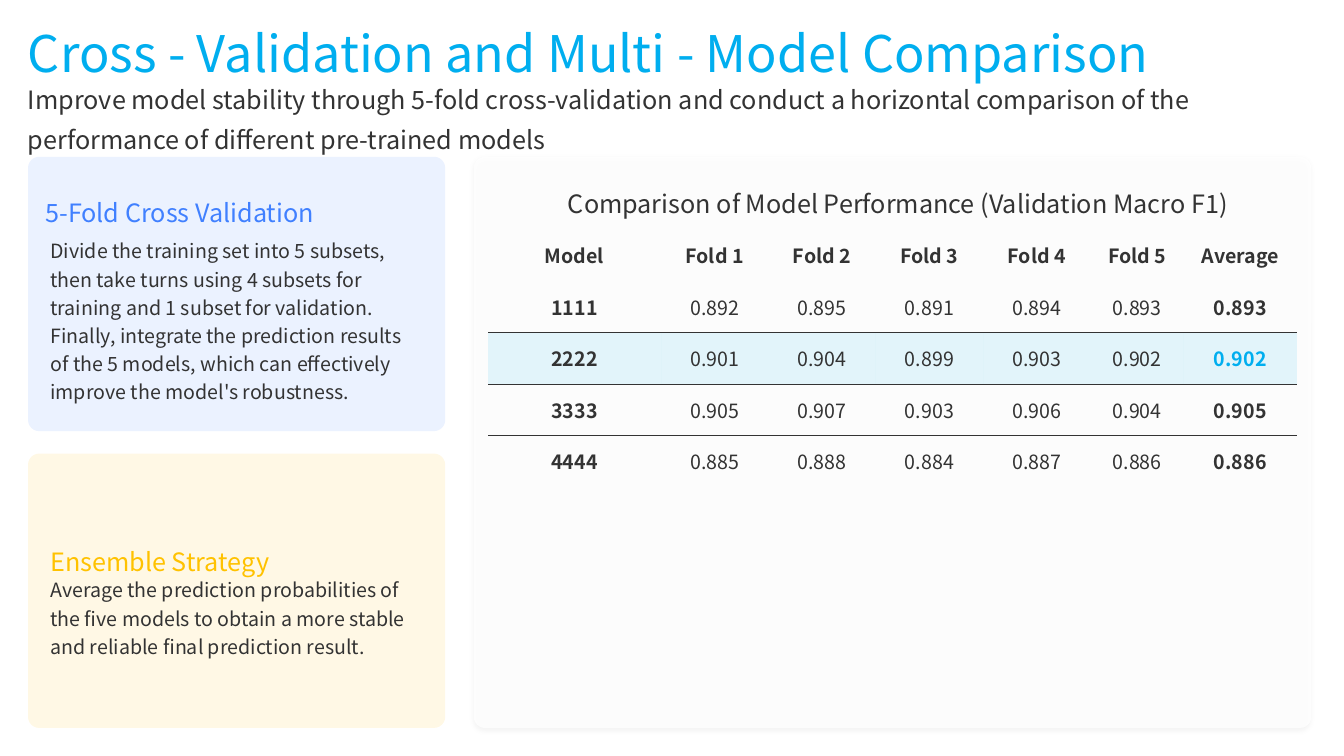
from lxml import etree
from pptx import Presentation
from pptx import util as u
from pptx.dml.color import RGBColor
from pptx.enum import shapes, text
from pptx.oxml import ns

Pt = u.Pt
CYAN = RGBColor(0x00, 0xAE, 0xEF)
BLUE = RGBColor(0x40, 0x80, 0xFF)
AMBER = RGBColor(0xFF, 0xC2, 0x00)
DARK = RGBColor(0x33, 0x33, 0x33)
WHITE = RGBColor(0xFF, 0xFF, 0xFF)
BLACK = RGBColor(0x00, 0x00, 0x00)

MARGIN, CARD_TOP, CARD_BOTTOM = 20, 112, 520
SIDE_W, SIDE_H = 298, 196
PANEL_X, PANEL_W = 338.4, 598.3
COL_WIDTHS = [123.6, 76.7, 76.7, 76.7, 76.7, 66.8, 80.6]
HEADER = ["Model", "Fold 1", "Fold 2", "Fold 3", "Fold 4", "Fold 5", "Average"]
SCORES = [
    ["1111", "0.892", "0.895", "0.891", "0.894", "0.893", "0.893"],
    ["2222", "0.901", "0.904", "0.899", "0.903", "0.902", "0.902"],
    ["3333", "0.905", "0.907", "0.903", "0.906", "0.904", "0.905"],
    ["4444", "0.885", "0.888", "0.884", "0.887", "0.886", "0.886"],
]
HIGHLIGHT_ROW = 2
NO_STYLE = "{2D5ABB26-0587-4C30-8999-92F81FD0307C}"


def add_xml(parent, tag, **attrs):
    values = {k: str(v) for k, v in attrs.items()}
    return etree.SubElement(parent, ns.qn(tag), values)


def set_fill(fill, color, alpha, holder):
    """Fill with a colour at the given opacity in percent."""
    fill.solid()
    fill.fore_color.rgb = color
    clr = holder.find(ns.qn("a:solidFill"))[0]
    add_xml(clr, "a:alpha", val=alpha * 1000)


class SlideBuilder:
    font = "Noto Sans CJK SC"
    radius = 8

    def __init__(self, slide):
        self.s = slide

    def add_words(self, p, words, size, color, bold=False, **para):
        for name, value in para.items():
            setattr(p, name, value)
        r = p.add_run()
        r.text = words
        style = {"name": self.font, "size": Pt(size), "bold": bold}
        for name, value in style.items():
            setattr(r.font, name, value)
        r.font.color.rgb = color

    def label(self, box, words, size, color, spacing, align=text.PP_ALIGN.LEFT):
        tf = self.s.shapes.add_textbox(*map(Pt, box)).text_frame
        frame = {"word_wrap": True, "vertical_anchor": text.MSO_ANCHOR.MIDDLE,
                 "margin_left": 0, "margin_right": 0,
                 "margin_top": 0, "margin_bottom": 0}
        for name, value in frame.items():
            setattr(tf, name, value)
        self.add_words(tf.paragraphs[0], words, size, color,
                       line_spacing=spacing, alignment=align)

    def card(self, box, color, alpha, shadow=False):
        sp = self.s.shapes.add_shape(
            shapes.MSO_SHAPE.ROUNDED_RECTANGLE, *map(Pt, box))
        sp.adjustments[0] = self.radius / min(box[2:])
        sp.shadow.inherit = False
        sp.line.fill.background()
        sp_pr = sp._element.spPr
        set_fill(sp.fill, color, alpha, sp_pr)
        if shadow:
            shade = add_xml(sp_pr.find(ns.qn("a:effectLst")), "a:outerShdw",
                            blurRad=Pt(4), dist=Pt(2), dir=90 * 60000,
                            algn="ctr", rotWithShape=0)
            clr = add_xml(shade, "a:srgbClr", val=BLACK)
            add_xml(clr, "a:alpha", val=5000)

    def rule(self, cell, tag):
        """Draw a thin line on one edge of a cell."""
        tc_pr = cell._tc.get_or_add_tcPr()
        ln = add_xml(tc_pr, tag, w=Pt(0.67))
        add_xml(add_xml(ln, "a:solidFill"), "a:srgbClr", val=DARK)
        fill_at = next(i for i, el in enumerate(tc_pr)
                       if el.tag in (ns.qn("a:noFill"), ns.qn("a:solidFill")))
        tc_pr.insert(fill_at, ln)

    def score_table(self, x, y, row_h):
        rows = [HEADER] + SCORES
        frame = self.s.shapes.add_table(
            len(rows), len(HEADER), Pt(x), Pt(y),
            Pt(sum(COL_WIDTHS)), Pt(row_h * len(rows)))
        table = frame.table
        table.first_row = table.horz_banding = False
        table._tbl.tblPr.find(ns.qn("a:tableStyleId")).text = NO_STYLE
        for col, width in zip(table.columns, COL_WIDTHS):
            col.width = Pt(width)
        for i, values in enumerate(rows):
            table.rows[i].height = Pt(row_h)
            for j, value in enumerate(values):
                self.score_cell(table.cell(i, j), value, i, j, len(rows))

    def score_cell(self, cell, value, i, j, row_count):
        average = j == len(HEADER) - 1
        marked = i == HIGHLIGHT_ROW
        cell.vertical_anchor = text.MSO_ANCHOR.MIDDLE
        self.add_words(cell.text_frame.paragraphs[0], value, 14,
                       CYAN if marked and average else DARK,
                       bold=i == 0 or j == 0 or average,
                       alignment=text.PP_ALIGN.CENTER)
        if marked:
            set_fill(cell.fill, CYAN, 10, cell._tc.tcPr)
        else:
            cell.fill.background()
        if i > 1:
            self.rule(cell, "a:lnT")
        if 0 < i < row_count - 1:
            self.rule(cell, "a:lnB")


def main():
    prs = Presentation()
    prs.slide_width, prs.slide_height = Pt(960), Pt(540)
    s = prs.slides.add_slide(prs.slide_layouts[6])
    b = SlideBuilder(s)

    b.label((MARGIN, 20, 920, 40),
            "Cross - Validation and Multi - Model Comparison", 36, CYAN, 0.9)
    b.label((MARGIN, 68, 844, 28),
            "Improve model stability through 5-fold cross-validation and conduct "
            "a horizontal comparison of the performance of different "
            "pre-trained models", 18, DARK, 1.3)

    b.card((MARGIN, CARD_TOP, SIDE_W, SIDE_H), BLUE, 10)
    b.label((32.4, 134.4, 306, 28), "5-Fold Cross Validation", 18, BLUE, 1.3)
    b.label((36, 198, 266, 60),
            "Divide the training set into 5 subsets, then take turns using "
            "4 subsets for training and 1 subset for validation. Finally, "
            "integrate the prediction results of the 5 models, which can "
            "effectively improve the model's robustness.", 14, DARK, 1.2)

    b.card((MARGIN, CARD_BOTTOM - SIDE_H, SIDE_W, SIDE_H), AMBER, 10)
    b.label((36, 384, 306, 28), "Ensemble Strategy", 18, AMBER, 1.3)
    b.label((36, 420, 266, 40),
            "Average the prediction probabilities of the five models to obtain "
            "a more stable and reliable final prediction result.", 14, DARK, 1.2)

    b.card((PANEL_X, CARD_TOP, PANEL_W, CARD_BOTTOM - CARD_TOP), WHITE, 80,
           shadow=True)
    b.label((PANEL_X, 128, 606, 28),
            "Comparison of Model Performance (Validation Macro F1)",
            18, DARK, 1.3, text.PP_ALIGN.CENTER)
    b.score_table(348.6, 164, 36.8)

    prs.save("out.pptx")


if __name__ == "__main__":
    main()
